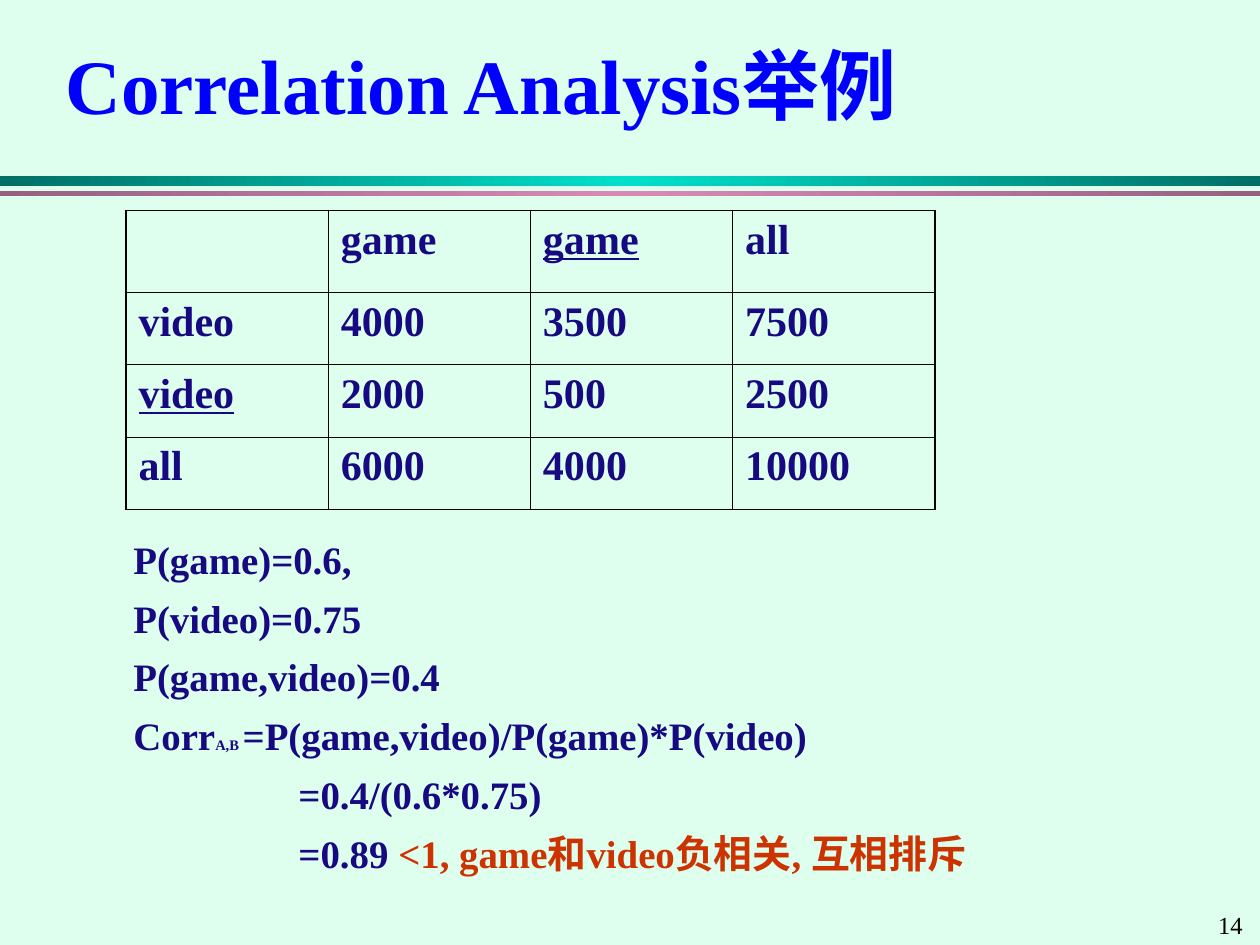
import copy
import pptx
import pptx.util
from pptx.dml.color import RGBColor
from pptx.enum.shapes import MSO_SHAPE
from pptx.enum.text import MSO_ANCHOR, PP_ALIGN
from pptx.oxml.ns import qn
from lxml import etree

Inches, Pt = pptx.util.Inches, pptx.util.Pt

THEME = {
    "font": "Times New Roman", "back": "DEFEEE", "title": "0000FF",
    "text": "170981", "accent": "CC3300", "line": "000000",
    "big": 44, "cell": 24, "body": 22.2, "page": 14, "sub": 8.3,
    "thin": 0.45, "thick": 1.08,
}

TITLE = "Correlation Analysis举例"
PAGE = "14"
BARS = [  # top, height, edge colour, middle colour
    (1.4, 0.08, "006F65", "00DFCA"),
    (1.52, 0.04, "976080", "D989B8"),
]
# A leading "_" marks an underlined (negated) item
TABLE = [
    ["", "game", "_game", "all"],
    ["video", "4000", "3500", "7500"],
    ["_video", "2000", "500", "2500"],
    ["all", "6000", "4000", "10000"],
]
# Indent, then runs of (text, size key, colour key)
NEAR, FAR = 0.38, 1.69
LINES = [
    (NEAR, [("P(game)=0.6,", "body", "text")]),
    (NEAR, [("P(video)=0.75", "body", "text")]),
    (NEAR, [("P(game,video)=0.4", "body", "text")]),
    (NEAR, [("Corr", "body", "text"), ("A,B ", "sub", "text"),
            ("=P(game,video)/P(game)*P(video)", "body", "text")]),
    (FAR, [("=0.4/(0.6*0.75)", "body", "text")]),
    (FAR, [("=0.89 ", "body", "text"),
           ("<1, game和video负相关, 互相排斥", "body", "accent")]),
]


def color(key):
    return RGBColor.from_string(THEME.get(key, key))


def add_run(para, text, size, tint, bold=True, under=False):
    run = para.add_run()
    run.text = text
    font = run.font
    font.name, font.size = THEME["font"], Pt(THEME[size])
    font.bold, font.underline = bold, under
    font.color.rgb = color(tint)


def add_bar(slide, width, top, height, edge, mid):
    bar = slide.shapes.add_shape(MSO_SHAPE.RECTANGLE, 0, Inches(top),
                                 width, Inches(height))
    bar.shadow.inherit = False
    bar.line.fill.background()
    bar.fill.gradient()
    bar.fill.gradient_angle = 0
    stops = next(bar.element.iter(qn("a:gsLst")))
    stops.append(copy.deepcopy(stops[0]))
    parts = zip(bar.fill.gradient_stops, (0, 0.5, 1), (edge, mid, edge))
    for stop, place, tint in parts:
        stop.position = place
        stop.color.rgb = color(tint)


def add_border(cell, outer):
    """Draw the four sides; outer holds a flag per side: L, R, T, B."""
    props = cell._tc.get_or_add_tcPr()
    for i, (side, thick) in enumerate(zip("LRTB", outer)):
        width = Pt(THEME["thick" if thick else "thin"])
        line = etree.Element(qn("a:ln" + side), w=str(int(width)))
        fill = etree.SubElement(line, qn("a:solidFill"))
        etree.SubElement(fill, qn("a:srgbClr"), val=THEME["line"])
        props.insert(i, line)


def add_grid(slide):
    rows, cols = len(TABLE), len(TABLE[0])
    wide, head, row = 1.605, 0.65, 0.575
    frame = slide.shapes.add_table(
        rows, cols, Inches(1), Inches(1.67),
        Inches(wide * cols), Inches(head + row * (rows - 1)))
    table = frame.table
    table.first_row = table.horz_banding = False
    for c in range(cols):
        table.columns[c].width = Inches(wide)
    for r, items in enumerate(TABLE):
        table.rows[r].height = Inches(row if r else head)
        for c, text in enumerate(items):
            cell = table.cell(r, c)
            cell.fill.background()
            add_border(cell, (c == 0, c == cols - 1, r == 0, r == rows - 1))
            if text:
                add_run(cell.text_frame.paragraphs[0], text.lstrip("_"),
                        "cell", "text", under=text.startswith("_"))


def add_box(slide, *place):
    box = slide.shapes.add_textbox(*map(Inches, place))
    box.text_frame.word_wrap = True
    return box.text_frame


def add_body(slide):
    frame = add_box(slide, 0.58, 4.2, 8.92, 2.83)
    for i, (indent, runs) in enumerate(LINES):
        para = frame.add_paragraph() if i else frame.paragraphs[0]
        para._p.get_or_add_pPr().set("marL", str(Inches(indent)))
        para.space_before = Pt(7 if i else 0)
        for run in runs:
            add_run(para, *run)


def main():
    deck = pptx.Presentation()
    deck.slide_width, deck.slide_height = Inches(10), Inches(7.5)
    slide = deck.slides.add_slide(deck.slide_layouts[5])
    slide.background.fill.solid()
    slide.background.fill.fore_color.rgb = color("back")

    for bar in BARS:
        add_bar(slide, deck.slide_width, *bar)

    title = slide.shapes.title
    title.left, title.top = Inches(0.42), Inches(0.25)
    title.width, title.height = Inches(9.17), Inches(0.83)
    title.text_frame.vertical_anchor = MSO_ANCHOR.MIDDLE
    para = title.text_frame.paragraphs[0]
    para.alignment = PP_ALIGN.LEFT
    add_run(para, TITLE, "big", "title")

    add_grid(slide)
    add_body(slide)
    page = add_box(slide, 9.57, 7.17, 0.43, 0.34)
    add_run(page.paragraphs[0], PAGE, "page", "line", bold=False)
    deck.save("out.pptx")


if __name__ == "__main__":
    main()
